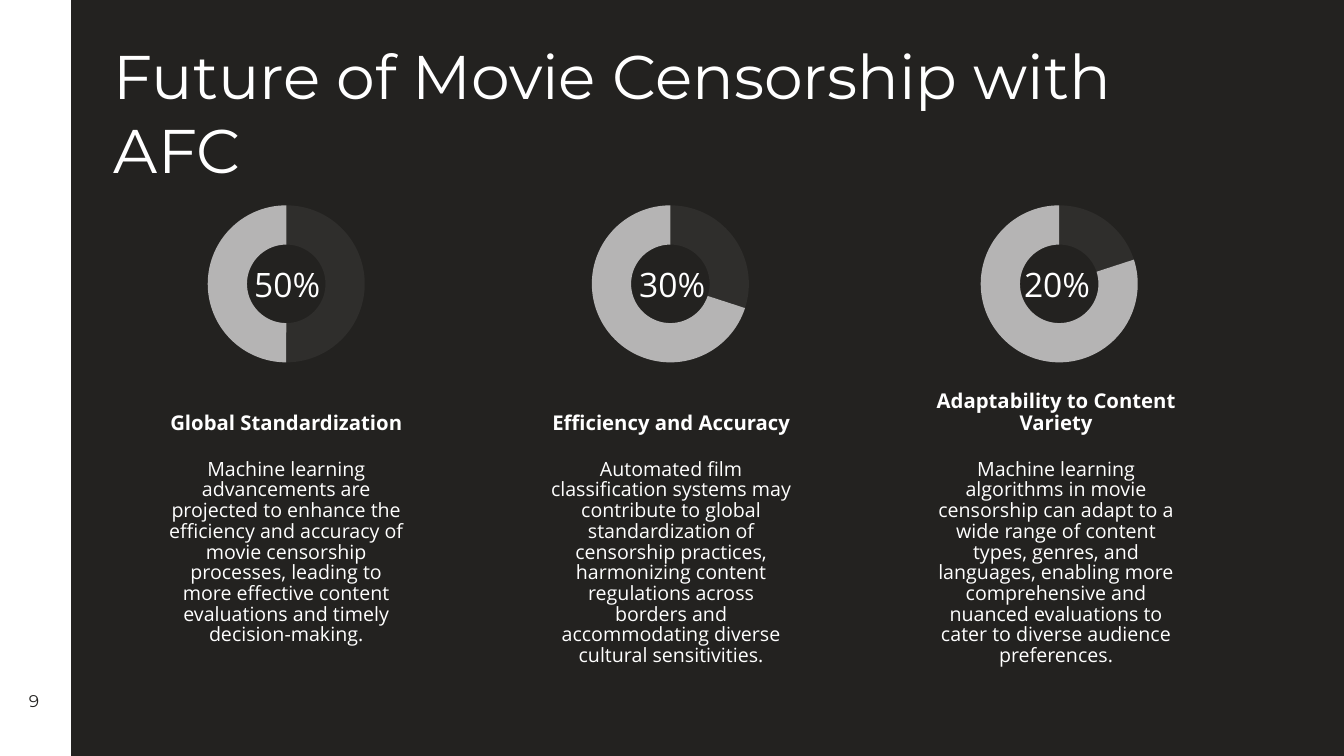
from lxml.etree import SubElement
from pptx import Presentation
from pptx.chart.data import CategoryChartData
from pptx.dml.color import RGBColor
from pptx.enum.chart import XL_CHART_TYPE
from pptx.enum.shapes import MSO_CONNECTOR, MSO_SHAPE
from pptx.enum.text import MSO_ANCHOR, PP_ALIGN
from pptx.oxml.ns import qn
from pptx.util import Cm, Pt


def tint(code):
    return RGBColor.from_string(code)


class Deck:
    dark, white, dim, light = "232220", "FFFFFF", "2F2E2C", "B5B4B4"
    head, body = "Montserrat", "Open Sans"

    def __init__(self):
        self.prs = Presentation()
        self.prs.slide_width, self.prs.slide_height = Cm(33.87), Cm(19.05)
        self.slide = self.prs.slides.add_slide(self.prs.slide_layouts[6])
        fill = self.slide.background.fill
        fill.solid()
        fill.fore_color.rgb = tint(self.dark)

    def band(self, x, y, w, h):
        box = self.slide.shapes.add_shape(
            MSO_SHAPE.RECTANGLE, Cm(x), Cm(y), Cm(w), Cm(h))
        box.shadow.inherit = False
        box.fill.solid()
        box.fill.fore_color.rgb = tint(self.white)
        box.line.fill.background()

    def rule(self, x, top, end):
        line = self.slide.shapes.add_connector(
            MSO_CONNECTOR.STRAIGHT, Cm(x), Cm(top), Cm(x), Cm(end))
        line.line.color.rgb = tint(self.white)
        line.line.width = Pt(1.5)
        SubElement(line._element.spPr, qn("a:effectLst"))

    def text(self, words, x, y, w, h, size, font=body, color=white, bold=False,
             align=PP_ALIGN.CENTER, anchor=MSO_ANCHOR.TOP, space=1.0):
        box = self.slide.shapes.add_textbox(Cm(x), Cm(y), Cm(w), Cm(h))
        frame = box.text_frame
        frame.word_wrap = True
        frame.vertical_anchor = anchor
        frame.text = words
        para = frame.paragraphs[0]
        para.alignment = align
        para.line_spacing = space
        style = para.runs[0].font
        style.name, style.size, style.bold = font, Pt(size), bold
        style.color.rgb = tint(color)

    def ring(self, share, x, y, w, h):
        data = CategoryChartData()
        data.categories = ["1", "2"]
        data.add_series("Series 1", [share, 100 - share])
        chart = self.slide.shapes.add_chart(
            XL_CHART_TYPE.DOUGHNUT, Cm(x), Cm(y), Cm(w), Cm(h), data).chart
        chart.has_legend = chart.has_title = False
        chart.font.name, chart.font.size = self.body, Pt(10)
        chart.font.color.rgb = tint(self.white)
        plot = chart.plots[0]
        plot.vary_by_categories = True
        for i, color in enumerate([self.dim, self.light]):
            form = plot.series[0].points[i].format
            form.fill.solid()
            form.fill.fore_color.rgb = tint(color)
            form.line.fill.background()
        # Hole size and centred plot area
        area = chart._chartSpace.chart.plotArea
        area.find(".//" + qn("c:holeSize")).set("val", "90")
        for old in area.findall(qn("c:layout")):
            area.remove(old)
        layout = SubElement(area, qn("c:layout"))
        area.insert(0, layout)
        manual = SubElement(layout, qn("c:manualLayout"))
        side = 3.96
        for tag, val in [("layoutTarget", "inner"), ("xMode", "edge"),
                         ("yMode", "edge"), ("x", (1 - side / w) / 2),
                         ("y", (1 - side / h) / 2), ("w", side / w),
                         ("h", side / h)]:
            SubElement(manual, qn("c:" + tag)).set("val", str(val))


def main():
    deck = Deck()

    # Side band with page number
    deck.band(0, 0, 1.76, 19.05)
    deck.rule(1.76, 0, 19.05)
    deck.text("9", 0, 17.15, 1.72, 1, 12.1, deck.head, deck.dark,
              anchor=MSO_ANCHOR.MIDDLE)

    # Title
    deck.text("Future of Movie Censorship with AFC", 2.62, 0.84, 28.6, 2.36,
              44, deck.head, align=PP_ALIGN.LEFT)

    # Three columns: ring position, share, heading, body
    cols = [
        (4.37, 50, "Global Standardization",
         "Machine learning advancements are projected to enhance the "
         "efficiency and accuracy of movie censorship processes, leading to "
         "more effective content evaluations and timely decision-making."),
        (14.05, 30, "Efficiency and Accuracy",
         "Automated film classification systems may contribute to global "
         "standardization of censorship practices, harmonizing content "
         "regulations across borders and accommodating diverse cultural "
         "sensitivities."),
        (23.85, 20, "Adaptability to Content Variety",
         "Machine learning algorithms in movie censorship can adapt to a wide "
         "range of content types, genres, and languages, enabling more "
         "comprehensive and nuanced evaluations to cater to diverse audience "
         "preferences."),
    ]
    for i, (spot, share, name, words) in enumerate(cols):
        left = 3.9 + 9.7 * i
        deck.ring(share, spot, 4.83, 5.69, 4.65)
        deck.text(f"{share}%", left + 2.07, 6.53, 2.54, 1.27, 24,
                  anchor=MSO_ANCHOR.MIDDLE)
        deck.text(name, left, 9.78, 6.63, 1.3, 14.5, bold=True,
                  anchor=MSO_ANCHOR.BOTTOM, space=0.88)
        deck.text(words, left, 11.46, 6.63, 6.63, 14, space=0.88)

    deck.prs.save("out.pptx")


if __name__ == "__main__":
    main()
